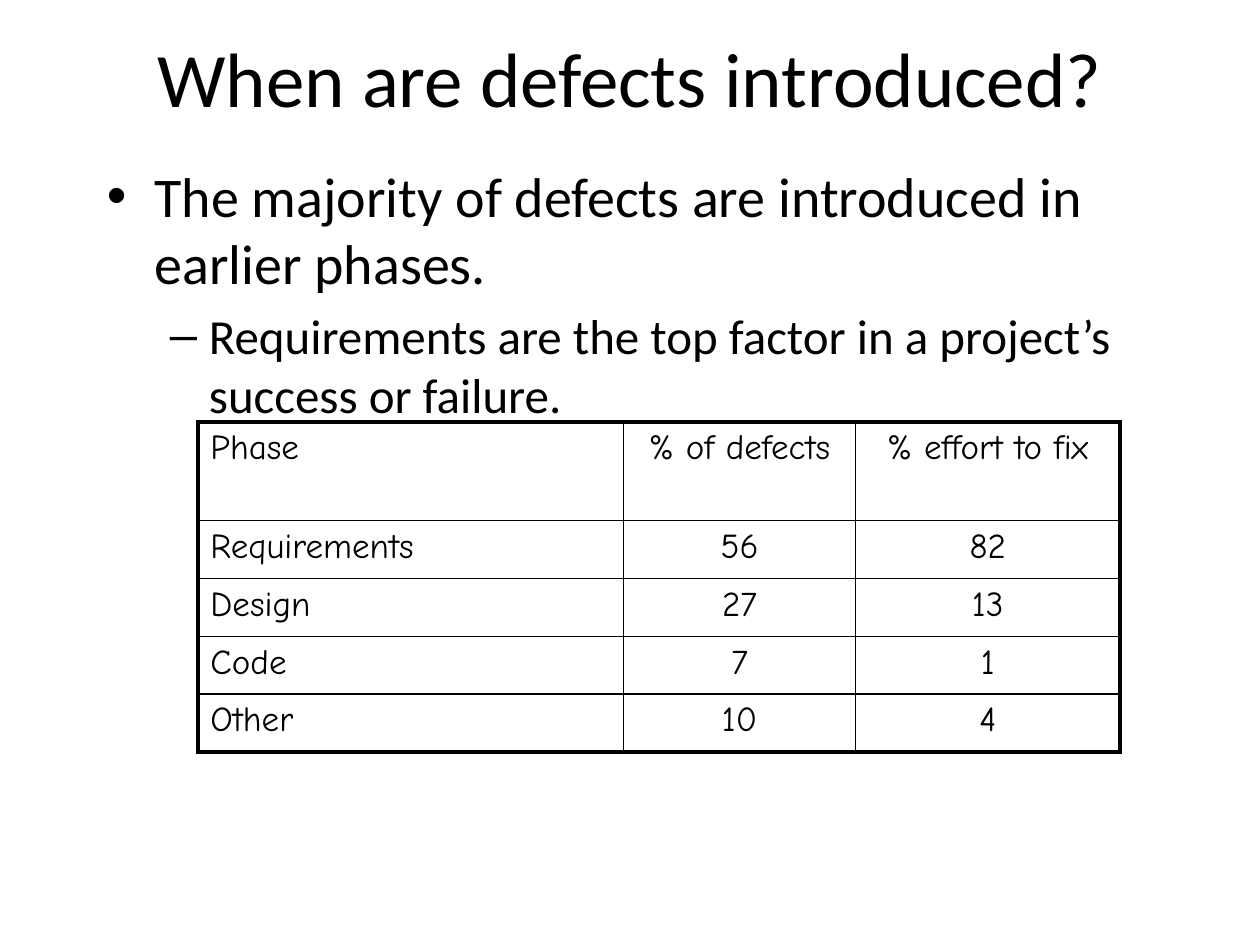
import pptx
import pptx.dml.color
import pptx.enum.text
import pptx.oxml
import pptx.oxml.ns
import pptx.util
from pptx.util import Inches, Pt

BLACK = pptx.dml.color.RGBColor(0x00, 0x00, 0x00)
CENTER = pptx.enum.text.PP_ALIGN.CENTER
LEFT = pptx.enum.text.PP_ALIGN.LEFT
ANCHOR = pptx.enum.text.MSO_ANCHOR

BULLETS = [
    # level, text, size, left margin, hanging indent, bullet, space before
    (0, "The majority of defects are introduced in earlier phases.",
     32, 0.38, 0.38, "•", 0),
    (1, "Requirements are the top factor in a project’s success or failure.",
     28, 0.81, 0.31, "–", 5.6),
]
DEFECTS = [
    ("Phase", "% of defects", "% effort to fix"),
    ("Requirements", "56", "82"),
    ("Design", "27", "13"),
    ("Code", "7", "1"),
    ("Other", "10", "4"),
]
COLUMN_WIDTHS = (3.38, 1.84, 2.1)
HEADER_HEIGHT, ROW_HEIGHT = 0.78, 0.46
OUTER_LINE, INNER_LINE = Pt(2.25), Pt(1)


def format_runs(paragraph, font_name, size):
    for run in paragraph.runs:
        run.font.name = font_name
        run.font.size = Pt(size)
        run.font.color.rgb = BLACK


def add_text_box(slide, left, top, width, height, anchor):
    shape = slide.shapes.add_textbox(
        Inches(left), Inches(top), Inches(width), Inches(height))
    shape.text_frame.word_wrap = True
    shape.text_frame.vertical_anchor = anchor
    return shape.text_frame


def add_title(slide, left, top, width, height):
    text_frame = add_text_box(slide, left, top, width, height, ANCHOR.MIDDLE)
    text_frame.text = "When are defects introduced?"
    paragraph = text_frame.paragraphs[0]
    paragraph.alignment = CENTER
    format_runs(paragraph, "Calibri", 44)


def set_bullet(paragraph, character, margin, hanging):
    properties = paragraph._p.get_or_add_pPr()
    properties.set("marL", str(Inches(margin)))
    properties.set("indent", str(-Inches(hanging)))
    properties.append(pptx.oxml.parse_xml(
        f'<a:buFont {pptx.oxml.ns.nsdecls("a")} typeface="Arial"/>'))
    properties.append(pptx.oxml.parse_xml(
        f'<a:buChar {pptx.oxml.ns.nsdecls("a")} char="{character}"/>'))


def add_bullets(slide, left, top, width, height):
    text_frame = add_text_box(slide, left, top, width, height, ANCHOR.TOP)
    text_frame.text = "\n".join(bullet[1] for bullet in BULLETS)
    for paragraph, bullet in zip(text_frame.paragraphs, BULLETS):
        level, _, size, margin, hanging, character, space_before = bullet
        paragraph.level = level
        paragraph.space_before = Pt(space_before)
        set_bullet(paragraph, character, margin, hanging)
        format_runs(paragraph, "Calibri", size)


def set_borders(cell, widths):
    """Draw the left, right, top and bottom borders, in that order."""
    properties = cell._tc.get_or_add_tcPr()
    for index, (side, width) in enumerate(zip("LRTB", widths)):
        properties.insert(index, pptx.oxml.parse_xml(
            f'<a:ln{side} {pptx.oxml.ns.nsdecls("a")} w="{width}">'
            f'<a:solidFill><a:srgbClr val="{BLACK}"/></a:solidFill>'
            f'</a:ln{side}>'))


def add_defect_table(slide, left, top):
    last_row, last_column = len(DEFECTS) - 1, len(COLUMN_WIDTHS) - 1
    table = slide.shapes.add_table(
        len(DEFECTS), len(COLUMN_WIDTHS), Inches(left), Inches(top),
        Inches(sum(COLUMN_WIDTHS)),
        Inches(HEADER_HEIGHT + last_row * ROW_HEIGHT)).table
    table.first_row = False
    table.horz_banding = False
    for column, width in zip(table.columns, COLUMN_WIDTHS):
        column.width = Inches(width)
    for row_index, values in enumerate(DEFECTS):
        table.rows[row_index].height = Inches(
            ROW_HEIGHT if row_index else HEADER_HEIGHT)
        for column_index, value in enumerate(values):
            cell = table.cell(row_index, column_index)
            cell.text = value
            cell.fill.background()
            paragraph = cell.text_frame.paragraphs[0]
            paragraph.alignment = CENTER if column_index else LEFT
            format_runs(paragraph, "Comic Neue", 20)
            on_edge = (column_index == 0, column_index == last_column,
                       row_index == 0, row_index == last_row)
            set_borders(cell, [OUTER_LINE if edge else INNER_LINE
                               for edge in on_edge])


def main():
    presentation = pptx.Presentation()
    presentation.slide_width = Inches(10)
    presentation.slide_height = Inches(7.5)
    slide = presentation.slides.add_slide(presentation.slide_layouts[6])
    add_title(slide, 0.75, 0.13, 8.5, 0.95)
    add_bullets(slide, 0.75, 1.23, 8.5, 2.63)
    add_defect_table(slide, 1.57, 3.35)
    presentation.save("out.pptx")


if __name__ == "__main__":
    main()
